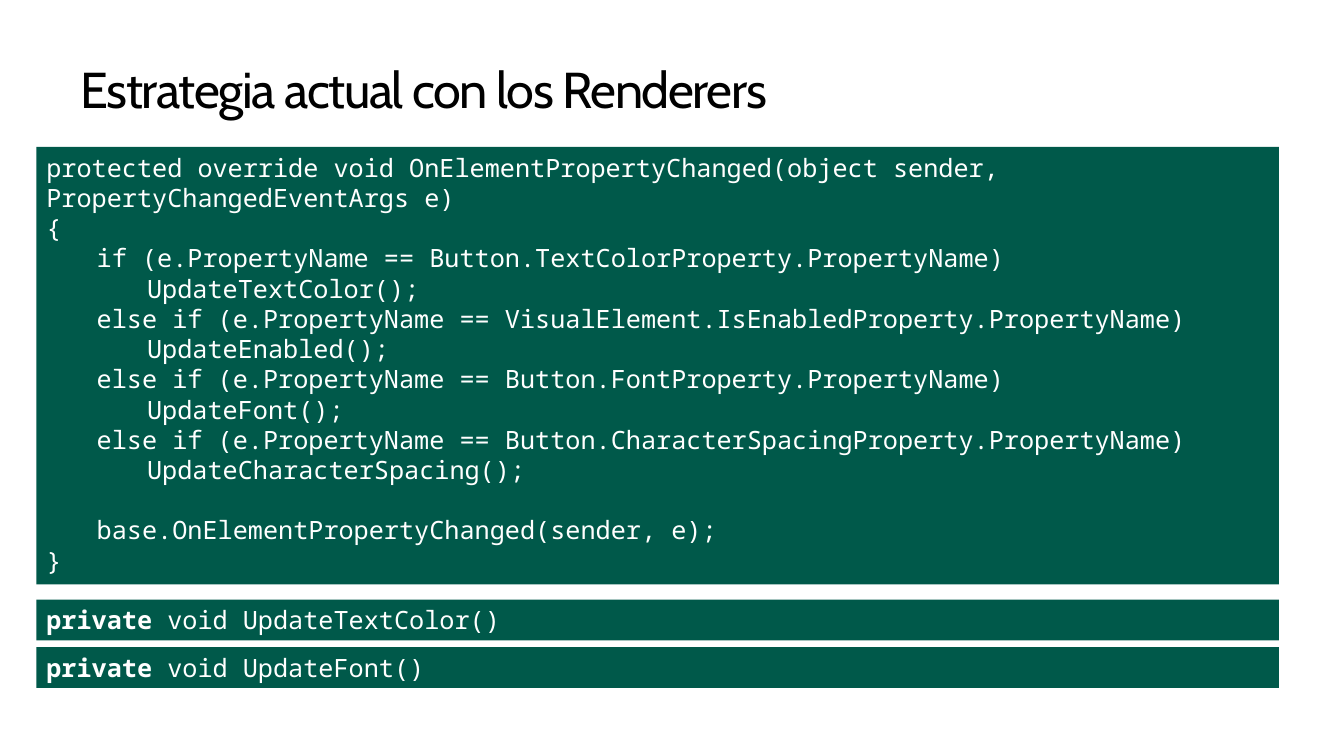
from dataclasses import dataclass

from pptx import Presentation
from pptx.dml.color import RGBColor
from pptx.enum.shapes import MSO_SHAPE
from pptx.enum.text import MSO_ANCHOR, MSO_AUTO_SIZE, PP_ALIGN
from pptx.util import Pt

TITLE = "Estrategia actual con los Renderers"
BLANK_LINE = 21.6
HANDLER_CODE = [
    (0, 0, "protected override void OnElementPropertyChanged(object sender, PropertyChangedEventArgs e)"),
    (0, 0, "{"),
    (1, 0, "if (e.PropertyName == Button.TextColorProperty.PropertyName)"),
    (1, 0, "\tUpdateTextColor();"),
    (1, 0, "else if (e.PropertyName == VisualElement.IsEnabledProperty.PropertyName)"),
    (1, 0, "\tUpdateEnabled();"),
    (1, 0, "else if (e.PropertyName == Button.FontProperty.PropertyName)"),
    (1, 0, "\tUpdateFont();"),
    (1, 0, "else if (e.PropertyName == Button.CharacterSpacingProperty.PropertyName)"),
    (1, 0, "\tUpdateCharacterSpacing();"),
    (1, BLANK_LINE, "base.OnElementPropertyChanged(sender, e);"),
    (0, 0, "}"),
]
METHODS = [
    ("private ", "void UpdateTextColor()"),
    ("private ", "void UpdateFont()"),
]


@dataclass(frozen=True)
class Theme:
    panel: RGBColor = RGBColor(0x00, 0x59, 0x4A)
    code: RGBColor = RGBColor(0xFF, 0xFF, 0xFF)
    title: RGBColor = RGBColor(0x00, 0x00, 0x00)
    title_font: str = "Cabin"
    code_font: str = "Noto Sans Mono"
    title_size: int = 36
    code_size: int = 18


THEME = Theme()
PANEL_LEFT, PANEL_WIDTH = 26, 887.5
HANDLER_TOP, HANDLER_HEIGHT = 105, 312.5
METHOD_TOP, METHOD_HEIGHT, METHOD_PITCH = 428.3, 29.1, 34
INDENT = 36


def style(font, name, size, color):
    font.name = name
    font.size = Pt(size)
    font.color.rgb = color


def add_title(slide):
    shape = slide.shapes.title
    shape.left, shape.top = Pt(46), Pt(39)
    shape.width, shape.height = Pt(867.5), Pt(44)
    frame = shape.text_frame
    frame.text = TITLE
    frame.auto_size = MSO_AUTO_SIZE.NONE
    frame.vertical_anchor = MSO_ANCHOR.TOP
    frame.margin_left = frame.margin_right = Pt(11.5)
    frame.margin_top = frame.margin_bottom = Pt(7.2)
    paragraph = frame.paragraphs[0]
    paragraph.alignment = PP_ALIGN.LEFT
    paragraph.line_spacing = 0.9
    style(paragraph.font, THEME.title_font, THEME.title_size, THEME.title)
    paragraph.runs[0].font._element.set("spc", "-100")


def add_panel(slide, top, height):
    shape = slide.shapes.add_shape(
        MSO_SHAPE.RECTANGLE, Pt(PANEL_LEFT), Pt(top), Pt(PANEL_WIDTH), Pt(height)
    )
    shape.shadow.inherit = False
    shape.fill.solid()
    shape.fill.fore_color.rgb = THEME.panel
    shape.line.fill.background()
    frame = shape.text_frame
    frame.word_wrap = True
    frame.vertical_anchor = MSO_ANCHOR.TOP
    return frame


def add_code_line(frame, index, runs, level=0, space_before=0):
    paragraph = frame.add_paragraph() if index else frame.paragraphs[0]
    paragraph.alignment = PP_ALIGN.LEFT
    if level:
        paragraph.level = level
        properties = paragraph._p.get_or_add_pPr()
        properties.set("marL", str(Pt(INDENT * level)))
        properties.set("indent", "0")
    if space_before:
        paragraph.space_before = Pt(space_before)
    style(paragraph.font, THEME.code_font, THEME.code_size, THEME.code)
    for text, bold in runs:
        run = paragraph.add_run()
        run.text = text
        if bold:
            run.font.bold = True


def main():
    presentation = Presentation()
    presentation.slide_width, presentation.slide_height = Pt(960), Pt(540)
    slide = presentation.slides.add_slide(presentation.slide_layouts[5])
    add_title(slide)

    handler = add_panel(slide, HANDLER_TOP, HANDLER_HEIGHT)
    for index, (level, space_before, text) in enumerate(HANDLER_CODE):
        add_code_line(handler, index, [(text, False)], level, space_before)

    for index, (keyword, signature) in enumerate(METHODS):
        method = add_panel(slide, METHOD_TOP + index * METHOD_PITCH, METHOD_HEIGHT)
        add_code_line(method, 0, [(keyword, True), (signature, False)])

    presentation.save("out.pptx")


if __name__ == "__main__":
    main()
